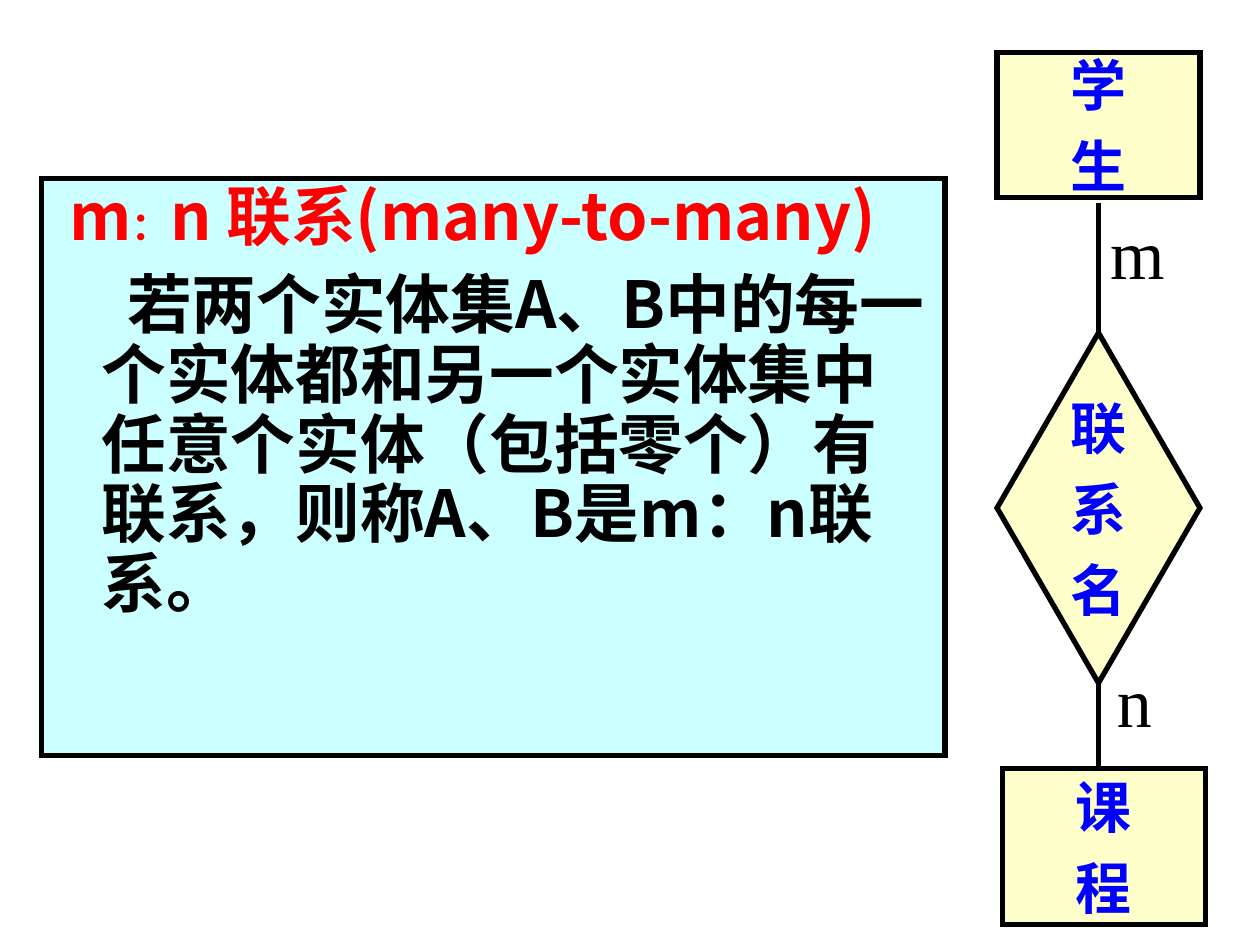
from lxml import etree
from pptx import Presentation
from pptx.dml.color import RGBColor
from pptx.enum.shapes import MSO_CONNECTOR, MSO_SHAPE
from pptx.enum.text import MSO_ANCHOR, MSO_AUTO_SIZE, PP_ALIGN
from pptx.oxml.ns import qn
from pptx.util import Cm, Pt

RECTANGLE, DIAMOND = MSO_SHAPE.RECTANGLE, MSO_SHAPE.DIAMOND
STRAIGHT = MSO_CONNECTOR.STRAIGHT
CENTER = PP_ALIGN.CENTER
TOP, MIDDLE = MSO_ANCHOR.TOP, MSO_ANCHOR.MIDDLE
FIXED_SIZE = MSO_AUTO_SIZE.NONE

BLACK = RGBColor(0, 0, 0)
RED = RGBColor(255, 0, 0)
BLUE = RGBColor(0, 0, 255)
CREAM = RGBColor(255, 255, 204)
PALE_CYAN = RGBColor(204, 255, 255)

CJK_FONT = "Noto Sans CJK SC"
LATIN_FONT = "Times New Roman"
DIAMOND_TOP, DIAMOND_BOTTOM = 0, 2


class RelationshipSlide:
    """Holds the current slide and the style shared by its elements."""

    line_width = Pt(3)

    def __init__(self, presentation):
        self.slide = presentation.slides.add_slide(presentation.slide_layouts[1])
        title = self.slide.shapes.title
        title.element.getparent().remove(title.element)

    def format_run(self, run, size, color, bold=False, font=LATIN_FONT):
        run.font.size = Pt(size)
        run.font.bold = bold
        run.font.color.rgb = color
        run.font.name = font
        latin = run.font._element.find(qn("a:latin"))
        east_asian = etree.Element(qn("a:ea"), typeface=CJK_FONT)
        latin.addnext(east_asian)

    def outline(self, shape, fill):
        """Fill the shape and give it a black line with sharp corners."""
        shape.fill.solid()
        shape.fill.fore_color.rgb = fill
        shape.line.color.rgb = BLACK
        shape.line.width = self.line_width
        line = shape._element.spPr.find(qn("a:ln"))
        etree.SubElement(line, qn("a:miter"), lim="800000")

    def definition(self, left, top, width, height, paragraphs):
        """Fill the body; each paragraph is (first-line indent, runs)."""
        body = self.slide.placeholders[1]
        body.left, body.top = Cm(left), Cm(top)
        body.width, body.height = Cm(width), Cm(height)
        self.outline(body, PALE_CYAN)
        frame = body.text_frame
        frame.auto_size = FIXED_SIZE
        frame.vertical_anchor = TOP
        for index, (indent, runs) in enumerate(paragraphs):
            paragraph = frame.add_paragraph() if index else frame.paragraphs[0]
            paragraph.line_spacing = 0.9
            paragraph.space_before = Pt(10 if index else 0)
            properties = paragraph._p.get_or_add_pPr()
            properties.set("marL", str(Cm(0.95)))
            properties.set("indent", str(Cm(indent)))
            etree.SubElement(properties, qn("a:buNone"))
            for text, size, color in runs:
                run = paragraph.add_run()
                run.text = text
                self.format_run(run, size, color, True, CJK_FONT)

    def node(self, kind, left, top, height, name):
        """Add an entity or relationship with its name written downwards."""
        shape = self.slide.shapes.add_shape(
            kind, Cm(left), Cm(top), Cm(4.09), Cm(height))
        shape.shadow.inherit = False
        self.outline(shape, CREAM)
        frame = shape.text_frame
        frame.word_wrap = False
        frame.vertical_anchor = MIDDLE
        frame.text = "\n".join(name)
        for index, paragraph in enumerate(frame.paragraphs):
            paragraph.alignment = CENTER
            paragraph.space_before = Pt(8 if index else 0)
            self.format_run(paragraph.runs[0], 32, BLUE, True)
        return shape

    def link(self, diamond, site, end_y):
        """Draw a vertical line from a corner of the diamond to end_y."""
        axis = diamond.left + diamond.width // 2
        connector = self.slide.shapes.add_connector(
            STRAIGHT, axis, diamond.top, axis, end_y)
        connector.begin_connect(diamond, site)
        connector.line.color.rgb = BLACK
        connector.line.width = self.line_width
        etree.SubElement(connector._element.spPr, qn("a:effectLst"))

    def cardinality(self, left, top, width, text):
        box = self.slide.shapes.add_textbox(
            Cm(left), Cm(top), Cm(width), Cm(1.96))
        frame = box.text_frame
        frame.word_wrap = True
        frame.text = text
        paragraph = frame.paragraphs[0]
        paragraph.alignment = CENTER
        self.format_run(paragraph.runs[0], 40, BLACK)


def main():
    presentation = Presentation()
    presentation.slide_width, presentation.slide_height = Cm(25.4), Cm(19.05)
    page = RelationshipSlide(presentation)

    heading = [("m", 37, RED), ("：", 22.2, RED),
               ("n 联系(many-to-many)", 37, RED)]
    explanation = [("若两个实体集A、B中的每一个实体都和另一个实体集中任意个实体"
                    "（包括零个）有联系，则称A、B是m：n联系。", 37, BLACK)]
    page.definition(0.84, 3.6, 18.21, 11.63,
                    [(-0.65, heading), (0.52, explanation)])

    page.node(RECTANGLE, 20.1, 1.06, 2.92, "学生")
    course = page.node(RECTANGLE, 20.21, 15.49, 3.15, "课程")
    relationship = page.node(DIAMOND, 20.1, 6.71, 7.06, "联系名")
    page.link(relationship, DIAMOND_TOP, Cm(4.09))
    page.link(relationship, DIAMOND_BOTTOM, course.top)
    page.cardinality(22.13, 4.09, 1.57, "m")
    page.cardinality(22.26, 13.13, 1.22, "n")

    presentation.save("out.pptx")


if __name__ == "__main__":
    main()
